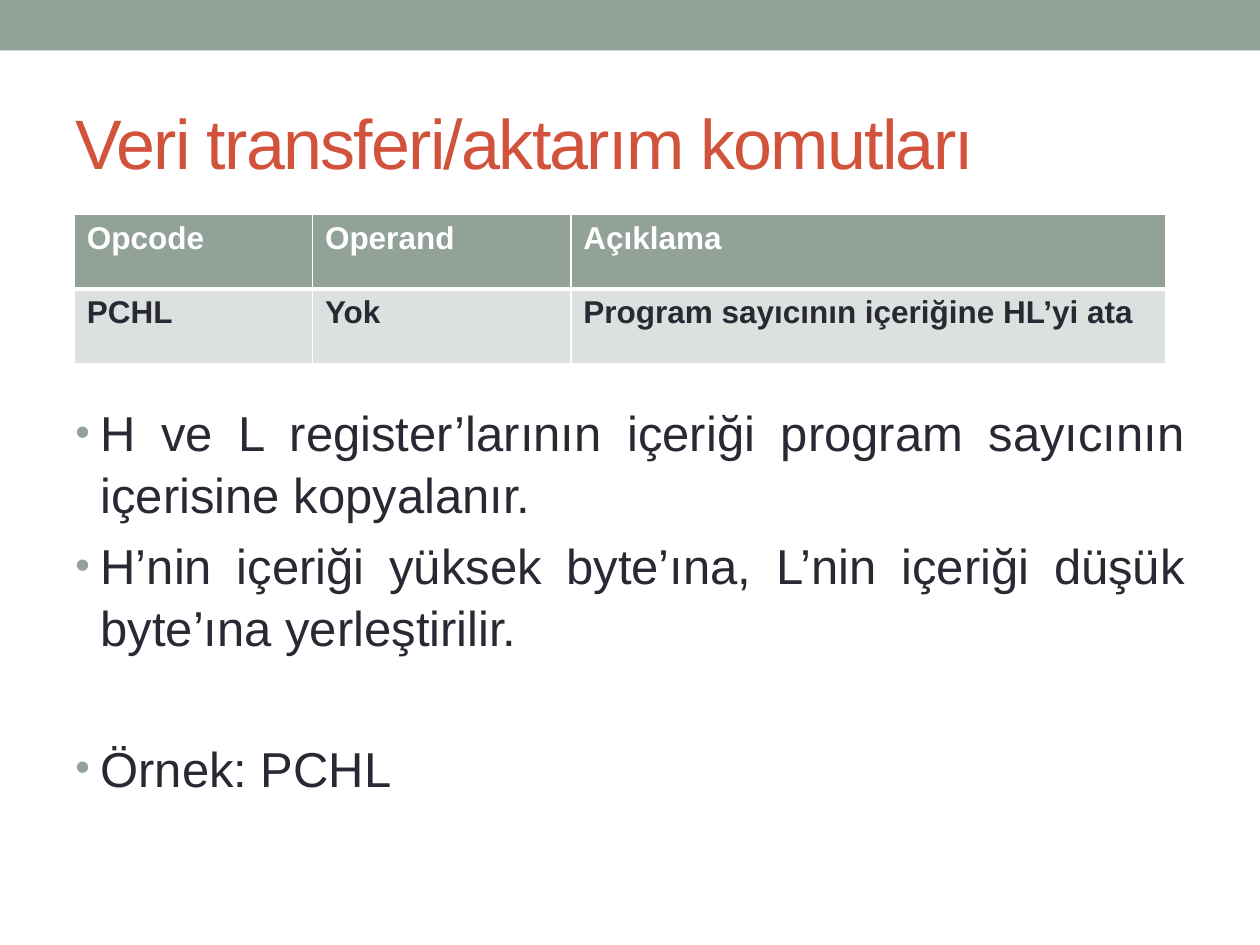
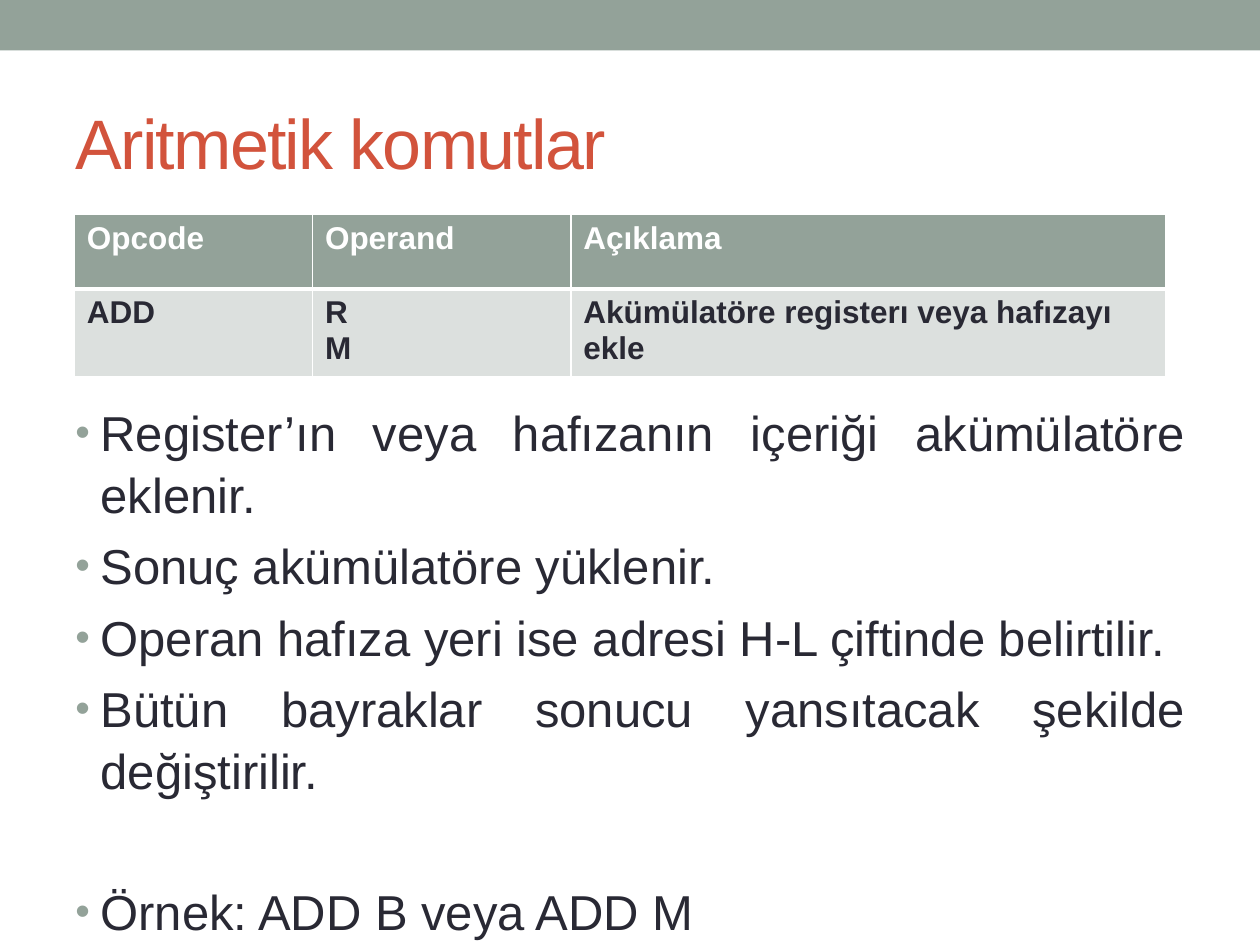
from dataclasses import dataclass

from lxml import etree
from pptx import Presentation
from pptx.dml.color import RGBColor
from pptx.enum.shapes import MSO_SHAPE
from pptx.enum.text import MSO_ANCHOR, PP_ALIGN
from pptx.oxml.ns import qn
from pptx.util import Pt

RECT = MSO_SHAPE.RECTANGLE
TOP, MIDDLE = MSO_ANCHOR.TOP, MSO_ANCHOR.MIDDLE
LEFT, JUSTIFY = PP_ALIGN.LEFT, PP_ALIGN.JUSTIFY


@dataclass(frozen=True)
class Theme:
    """Colours, font and type sizes shared by the slides."""
    sage: str = "93A299"
    pale: str = "DCE0DE"
    red: str = "D2533C"
    ink: str = "292934"
    white: str = "FFFFFF"
    font: str = "Arial"
    title: int = 40
    body: int = 28
    cell: int = 18


THEME = Theme()
WIDTH, HEIGHT = 720, 540
BAND_BOX = (0, 0, WIDTH, 28.8)
TITLE_BOX = (36, 42, 648, 77.5)
TABLE_BOX = (42.5, 122.6, 623.5, 85)
BODY_BOX = (36, 224.8, 648, 285)
COLUMN_SHARES = (1.89, 2.05, 4.72)
HEADINGS = ("Opcode", "Operand", "Açıklama")
INDENT = 14.4
SPACE_BEFORE = 0.2 * THEME.body
LINE_SPACING = 1.05
BLANK_LINE = THEME.body * 1.15 * LINE_SPACING + SPACE_BEFORE

SLIDES = [
    ("Veri transferi/aktarım komutları",
     ("PCHL", "Yok", "Program sayıcının içeriğine HL’yi ata"),
     ["H ve L register’larının içeriği program sayıcının içerisine kopyalanır.",
      "H’nin içeriği yüksek byte’ına, L’nin içeriği düşük byte’ına yerleştirilir."],
     "Örnek: PCHL"),
    ("Aritmetik komutlar",
     ("ADD", "R\nM", "Akümülatöre registerı veya hafızayı ekle"),
     ["Register’ın veya hafızanın içeriği akümülatöre eklenir.",
      "Sonuç akümülatöre yüklenir.",
      "Operan hafıza yeri ise adresi H-L çiftinde belirtilir.",
      "Bütün bayraklar sonucu yansıtacak şekilde değiştirilir."],
     "Örnek: ADD B veya ADD M"),
]


def points(box):
    """Convert a box of numbers to lengths."""
    return [Pt(v) for v in box]


def add_run(p, text, size, color, bold=False):
    """Add one formatted run to a paragraph."""
    r = p.add_run()
    r.text = text
    r.font.name = THEME.font
    r.font.size = Pt(size)
    r.font.bold = bold
    r.font.color.rgb = RGBColor.from_string(color)
    return r


def add_band(s, box):
    """Draw the coloured band across the top."""
    sp = s.shapes.add_shape(RECT, *points(box))
    sp.shadow.inherit = False
    sp.fill.solid()
    sp.fill.fore_color.rgb = RGBColor.from_string(THEME.sage)
    sp.line.fill.background()


def set_title(s, box, text):
    """Place and format the title placeholder."""
    sp = s.shapes.title
    sp.left, sp.top, sp.width, sp.height = points(box)
    tf = sp.text_frame
    tf.word_wrap = True
    tf.vertical_anchor = MIDDLE
    p = tf.paragraphs[0]
    p.alignment = LEFT
    r = add_run(p, text, THEME.title, THEME.red)
    r.font._element.set("spc", "-100")


def set_borders(cell, widths):
    """Give a cell white borders, with a width for each side."""
    tcPr = cell._tc.get_or_add_tcPr()
    for side, width in widths.items():
        ln = etree.SubElement(tcPr, qn(f"a:ln{side}"), w=str(Pt(width)))
        fill = etree.SubElement(ln, qn("a:solidFill"))
        etree.SubElement(fill, qn("a:srgbClr"), val=THEME.white)


def fill_cell(cell, text, fill, color, borders):
    """Write and colour one table cell, one paragraph for each line."""
    set_borders(cell, borders)
    cell.fill.solid()
    cell.fill.fore_color.rgb = RGBColor.from_string(fill)
    tf = cell.text_frame
    for i, line in enumerate(text.split("\n")):
        p = tf.add_paragraph() if i else tf.paragraphs[0]
        add_run(p, line, THEME.cell, color, bold=True)


def add_opcode_table(s, box, command):
    """Add the table of headings and one command."""
    rows = [
        (HEADINGS, THEME.sage, THEME.white, dict(L=1, R=1, T=1, B=3)),
        (command, THEME.pale, THEME.ink, dict(L=1, R=1, T=3, B=1)),
    ]
    table = s.shapes.add_table(len(rows), len(HEADINGS), *points(box)).table
    for column, share in zip(table.columns, COLUMN_SHARES):
        column.width = Pt(round(box[2] * share / sum(COLUMN_SHARES), 2))
    for i, (texts, fill, color, borders) in enumerate(rows):
        for j, text in enumerate(texts):
            fill_cell(table.cell(i, j), text, fill, color, borders)


def set_bullet(p):
    """Give a paragraph a hanging coloured bullet."""
    pPr = p._p.get_or_add_pPr()
    pPr.set("marL", str(Pt(INDENT)))
    pPr.set("indent", str(-Pt(INDENT)))
    color = etree.SubElement(pPr, qn("a:buClr"))
    etree.SubElement(color, qn("a:srgbClr"), val=THEME.sage)
    etree.SubElement(pPr, qn("a:buSzPct"), val="85000")
    etree.SubElement(pPr, qn("a:buFont"), typeface=THEME.font)
    etree.SubElement(pPr, qn("a:buChar"), char="•")


def add_body(s, box, points_text, example):
    """Add the bulleted explanation, with the example set apart below."""
    tf = s.shapes.add_textbox(*points(box)).text_frame
    tf.word_wrap = True
    tf.vertical_anchor = TOP
    for i, text in enumerate([*points_text, example]):
        p = tf.add_paragraph() if i else tf.paragraphs[0]
        set_bullet(p)
        p.alignment = JUSTIFY
        p.line_spacing = LINE_SPACING
        if i:
            p.space_before = Pt(SPACE_BEFORE)
        add_run(p, text, THEME.body, THEME.ink)
    p.space_before = Pt(round(SPACE_BEFORE + BLANK_LINE, 1))


def add_command_slide(prs, title, command, points_text, example):
    """Build one slide that explains a command."""
    s = prs.slides.add_slide(prs.slide_layouts[5])
    add_band(s, BAND_BOX)
    set_title(s, TITLE_BOX, title)
    add_body(s, BODY_BOX, points_text, example)
    add_opcode_table(s, TABLE_BOX, command)


def main():
    """Build and save the presentation."""
    prs = Presentation()
    prs.slide_width, prs.slide_height = Pt(WIDTH), Pt(HEIGHT)
    for content in SLIDES:
        add_command_slide(prs, *content)
    prs.save("out.pptx")


if __name__ == "__main__":
    main()
